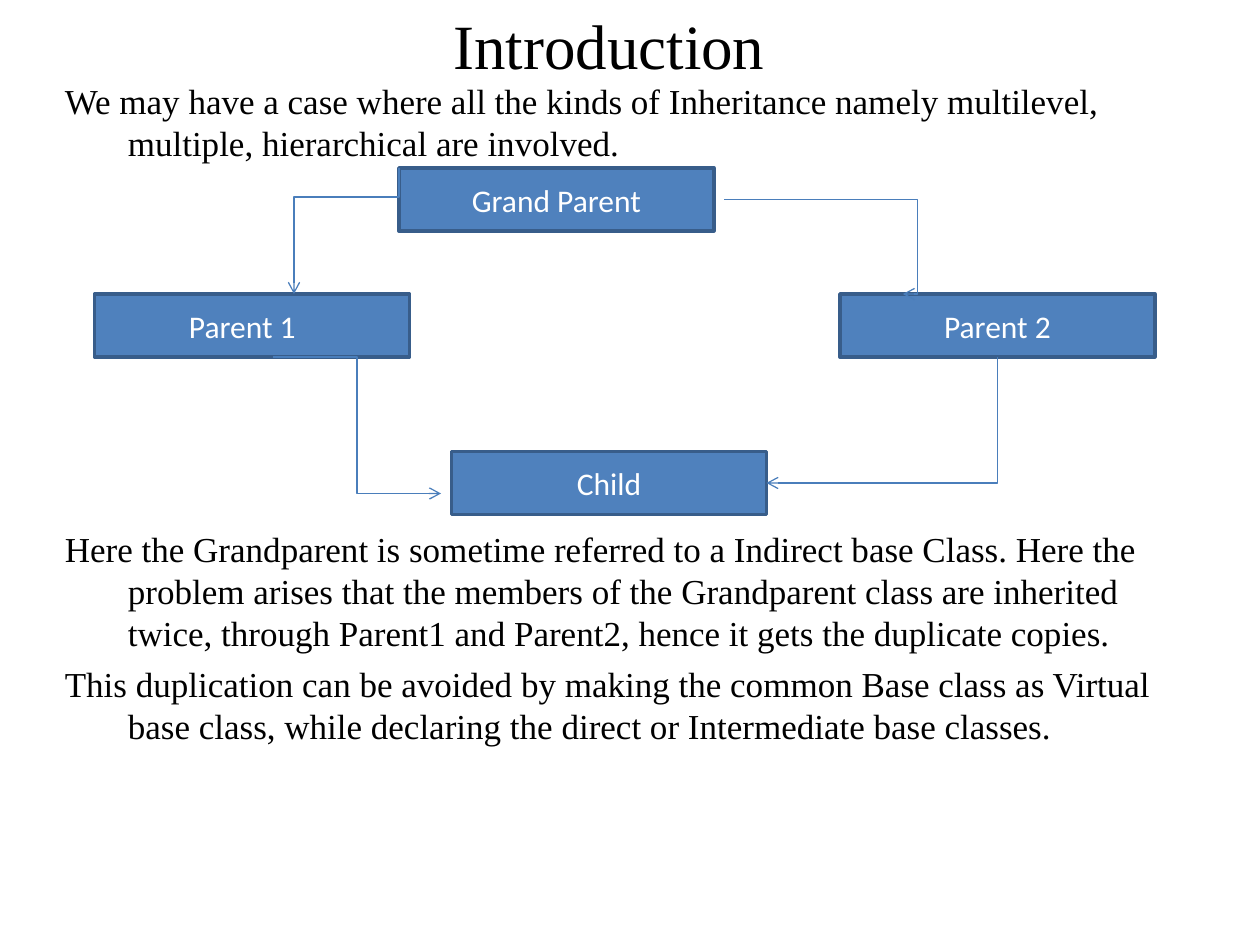
from dataclasses import dataclass

from lxml.etree import SubElement
from pptx import Presentation
from pptx.dml.color import RGBColor
from pptx.enum.shapes import MSO_CONNECTOR as Connector, MSO_SHAPE as Shape
from pptx.enum.text import MSO_ANCHOR as Anchor, MSO_AUTO_SIZE as AutoSize, PP_ALIGN as Align
from pptx.oxml.ns import qn
from pptx.util import Pt


@dataclass(frozen=True)
class Theme:
    text: RGBColor = RGBColor(0x00, 0x00, 0x00)
    box_text: RGBColor = RGBColor(0xFF, 0xFF, 0xFF)
    box_fill: RGBColor = RGBColor(0x4F, 0x81, 0xBD)
    box_line: RGBColor = RGBColor(0x38, 0x5D, 0x8A)
    arrow: RGBColor = RGBColor(0x4A, 0x7E, 0xBB)
    serif: str = "Times New Roman"
    sans: str = "Calibri"
    title_size: int = 36
    body_size: int = 20
    box_size: int = 18


THEME = Theme()
BOX_W, BOX_H = 180, 36
DIAGRAM_GAP = 208

BODY = [
    ("We may have a case where all the kinds of Inheritance namely multilevel, "
     "multiple, hierarchical are involved.", 5),
    ("Here the Grandparent is sometime referred to a Indirect base Class. Here the "
     "problem arises that the members of the Grandparent class are inherited twice, "
     "through Parent1 and Parent2, hence it gets the duplicate copies.", DIAGRAM_GAP),
    ("This duplication can be avoided by making the common Base class as Virtual "
     "base class, while declaring the direct or Intermediate base classes.", 5),
]

CLASSES = [
    ("Grand Parent", 228, 96),
    ("Parent 1\t", 54, 168),
    ("Parent 2", 480, 168),
    ("Child", 258, 258),
]


def format_runs(p, font, size, color):
    for r in p.runs:
        r.font.name, r.font.size = font, Pt(size)
        r.font.color.rgb = color


def set_title(s, text):
    title = s.shapes.title
    title.left, title.top, title.width, title.height = Pt(24), Pt(12), Pt(648), Pt(27)
    tf = title.text_frame
    tf.text = text
    tf.auto_size = AutoSize.NONE
    tf.vertical_anchor = Anchor.MIDDLE
    p = tf.paragraphs[0]
    p.alignment = Align.CENTER
    format_runs(p, THEME.serif, THEME.title_size, THEME.text)


def add_body(s, paragraphs):
    """Add the hanging-indent text; each paragraph comes with its space before."""
    tf = s.shapes.add_textbox(Pt(30), Pt(42), Pt(648), Pt(462)).text_frame
    tf.word_wrap = True
    for i, (text, space) in enumerate(paragraphs):
        p = tf.add_paragraph() if i else tf.paragraphs[0]
        p.text = text
        p.space_before, p.line_spacing = Pt(space), Pt(24)
        pPr = p._p.get_or_add_pPr()
        pPr.set("marL", str(Pt(36)))
        pPr.set("indent", str(-Pt(36)))
        format_runs(p, THEME.serif, THEME.body_size, THEME.text)


def add_class_box(s, name, left, top):
    sp = s.shapes.add_shape(Shape.RECTANGLE, Pt(left), Pt(top), Pt(BOX_W), Pt(BOX_H))
    sp.shadow.inherit = False
    sp.fill.solid()
    sp.fill.fore_color.rgb = THEME.box_fill
    sp.line.color.rgb = THEME.box_line
    sp.line.width = Pt(2)
    tf = sp.text_frame
    tf.text = name
    tf.vertical_anchor = Anchor.MIDDLE
    p = tf.paragraphs[0]
    p.alignment = Align.CENTER
    format_runs(p, THEME.sans, THEME.box_size, THEME.box_text)


def add_elbow_arrow(s, start, end, preset="bentConnector3", bend=None, turned=False):
    """Add an elbow arrow; a turned one is rotated by 90 degrees about its centre."""
    (x1, y1), (x2, y2) = start, end
    if turned:
        cx, cy = (x1 + x2) / 2, (y1 + y2) / 2
        half_w, half_h = abs(y2 - y1) / 2, abs(x2 - x1) / 2
        x1, y1, x2, y2 = cx - half_w, cy - half_h, cx + half_w, cy + half_h
    cxn = s.shapes.add_connector(Connector.ELBOW, Pt(x1), Pt(y1), Pt(x2), Pt(y2))
    cxn.line.color.rgb = THEME.arrow
    cxn.line.width = Pt(0.75)
    spPr = cxn._element.spPr
    if turned:
        spPr.find(qn("a:xfrm")).set("rot", str(90 * 60000))
    geom = spPr.find(qn("a:prstGeom"))
    geom.set("prst", preset)
    if bend is not None:
        SubElement(geom.find(qn("a:avLst")), qn("a:gd"),
                   name="adj1", fmla=f"val {round(bend * 100000)}")
    SubElement(spPr.find(qn("a:ln")), qn("a:tailEnd"), type="arrow")
    SubElement(spPr, qn("a:effectLst"))


def main():
    prs = Presentation()
    prs.slide_width, prs.slide_height = Pt(720), Pt(540)
    s = prs.slides.add_slide(prs.slide_layouts[5])
    set_title(s, "Introduction")
    add_body(s, BODY)
    for name, left, top in CLASSES:
        add_class_box(s, name, left, top)
    add_elbow_arrow(s, (228, 96), (168, 168), bend=0.23, turned=True)
    add_elbow_arrow(s, (414, 114), (516, 168), bend=1.08)
    add_elbow_arrow(s, (156, 204), (252, 282))
    add_elbow_arrow(s, (570, 204), (438, 276), preset="bentConnector2", turned=True)
    prs.save("out.pptx")


if __name__ == "__main__":
    main()
